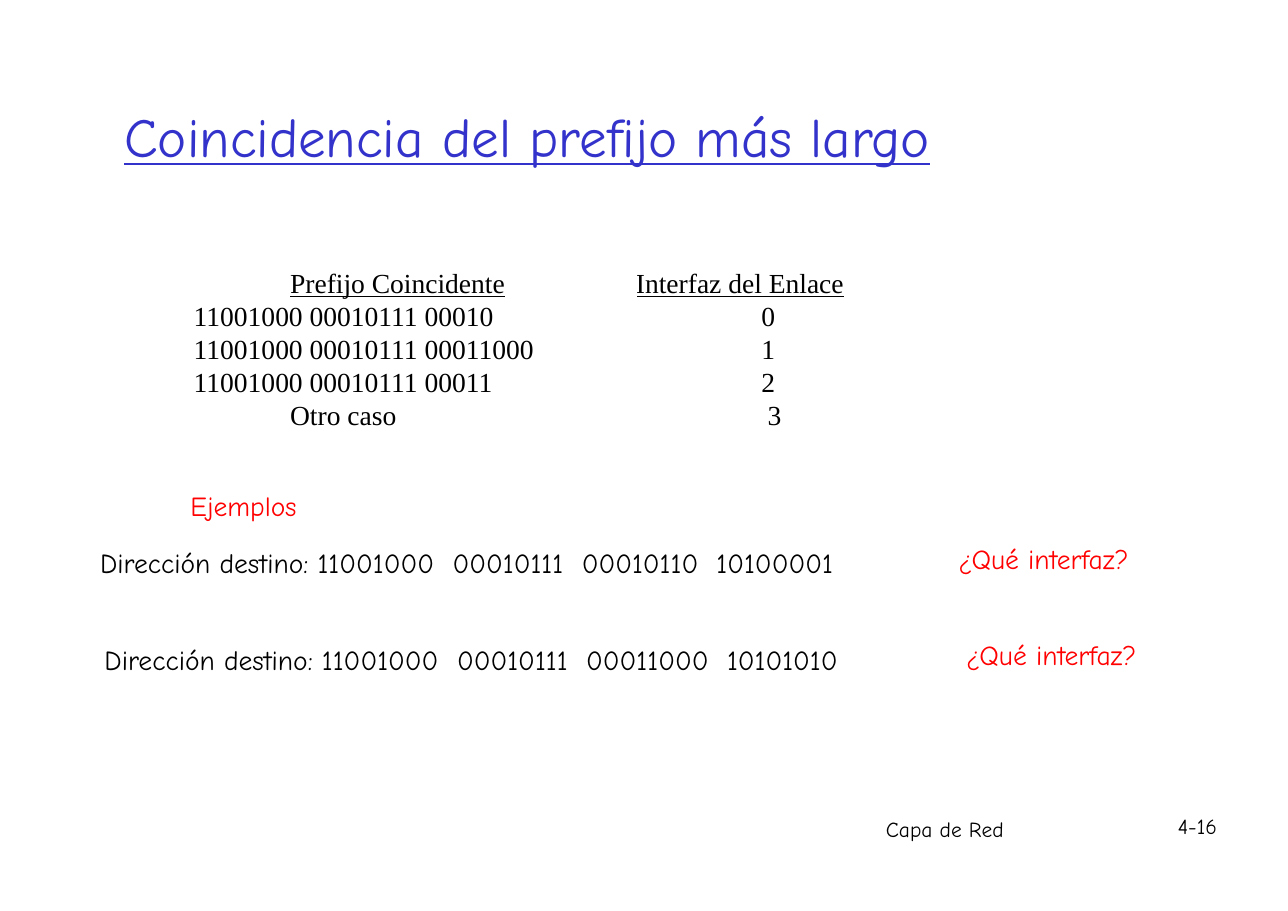
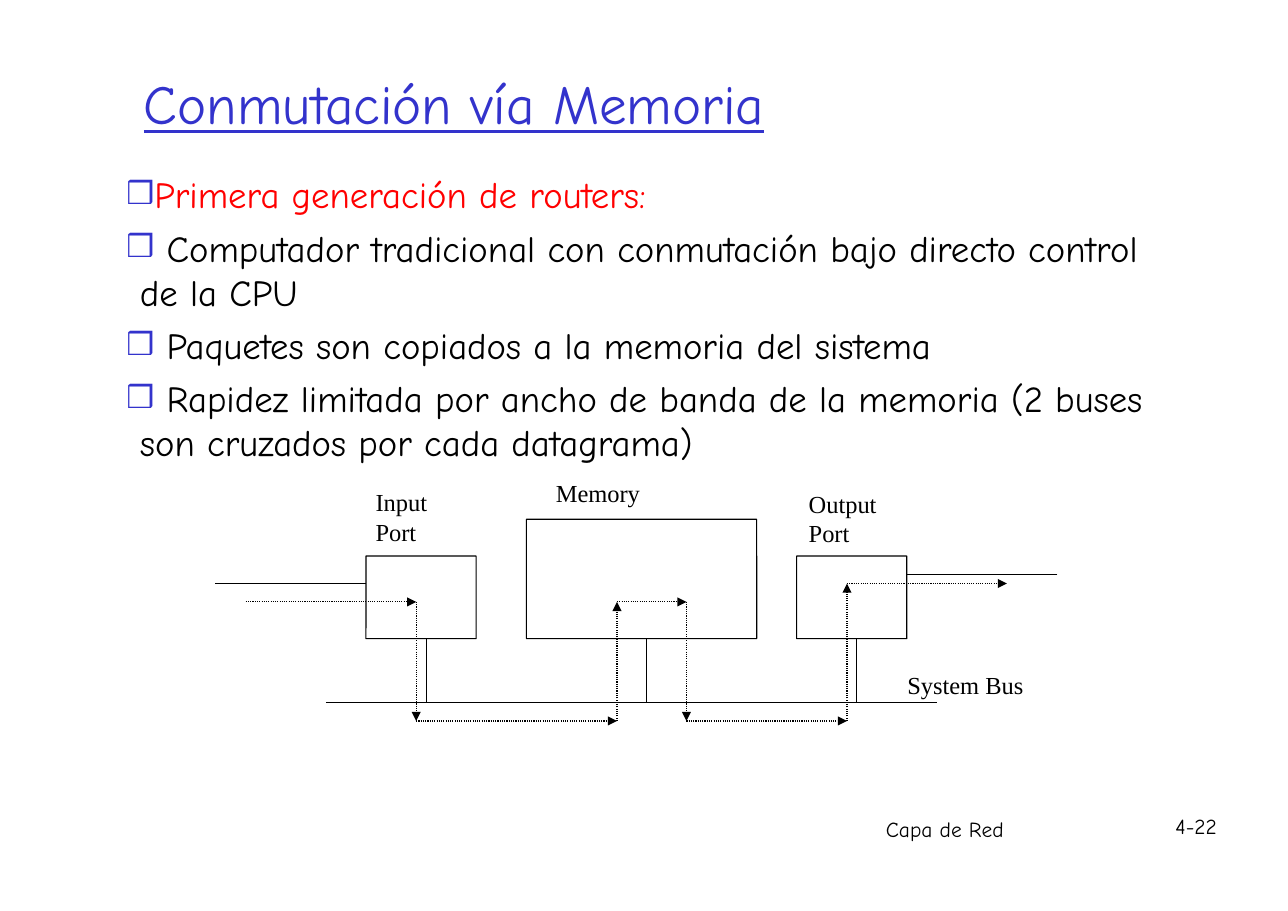
from itertools import pairwise
from lxml.etree import SubElement
from pptx import Presentation
from pptx.dml.color import RGBColor
from pptx.enum.dml import MSO_LINE
from pptx.enum.shapes import MSO_CONNECTOR as Link, MSO_SHAPE as Preset
from pptx.enum.text import MSO_ANCHOR as Anchor, PP_ALIGN as Align
from pptx.oxml.ns import qn
from pptx.util import Pt

HAND, SERIF = "Comic Neue", "Times New Roman"
BLACK, BLUE, RED = "000000", "3333CC", "FF0000"

TITLE = {"font": HAND, "size": 36, "color": BLUE, "underline": True,
         "spacing": 0.9, "anchor": Anchor.MIDDLE}
FOOTER = {"font": HAND, "size": 14, "align": Align.RIGHT, "spacing": 0.9}
EXAMPLE = {"font": HAND, "size": 18, "spacing": 0.9}
QUESTION = EXAMPLE | {"color": RED}
LABEL = {"font": SERIF, "size": 16}
BULLET = {"font": HAND, "size": 24, "before": 6}
LEAD = BULLET | {"color": RED, "spacing": 0.9}
ENTRY = {"font": SERIF, "size": 18}
HEADING = ENTRY | {"underline": True}

FOOTER_TEXT = "Capa de Red"

PREFIX_TITLE = "Coincidencia del prefijo más largo"
PREFIX_ROWS = [
    (("Prefijo Coincidente", 63), ("Interfaz del Enlace", 0)),
    (("11001000 00010111 00010", 0), ("0", 82)),
    (("11001000 00010111 00011000", 0), ("1", 82)),
    (("11001000 00010111 00011", 0), ("2", 82)),
    (("Otro caso", 63), ("3", 86)),
]
PREFIX_COLUMNS = (289, 150)
PREFIX_ROW_HEIGHT = 21.6
EXAMPLES_HEADING = "Ejemplos"
ADDRESS_LABEL = "Dirección destino: "
ADDRESSES = [
    (("11001000", "00010111", "00010110", "10100001"), (230.4, 314.8, 402.8),
     (58.3, 355.7), (619.2, 352.8)),
    (("11001000", "00010111", "00011000", "10101010"), (230.4, 314.8, 406.8),
     (61.2, 419), (624.3, 415.8)),
]
INTERFACE_QUESTION = "¿Qué interfaz?"

MEMORY_TITLE = "Conmutación vía Memoria"
MEMORY_POINTS = [
    ("Primera generación de routers:", LEAD),
    (" Computador tradicional con conmutación bajo directo control de la CPU", BULLET),
    (" Paquetes son copiados a la memoria del sistema", BULLET),
    (" Rapidez limitada por ancho de banda de la memoria (2 buses son cruzados por cada datagrama)", BULLET),
]
UNITS = [(239.2, 363.4, 72, 54), (520.6, 363.4, 72, 54), (344, 339.4, 150.5, 78)]
UNIT_BOTTOM, BUS_Y = 417.4, 459.4
BUS = ((213, BUS_Y), (612.5, BUS_Y))
STEMS = (278.6, 422.6, 560)
WIRES = [((239.2, 381.4), (140.4, 381.4)), ((691, 375.4), (592.6, 375.4))]
INNER_Y, UNDER_BUS_Y, EXIT_Y = 393.4, 471.2, 381.4
DATAGRAM_ROUTE = [
    (160.6, INNER_Y), (272, INNER_Y), (272, UNDER_BUS_Y), (403.2, UNDER_BUS_Y),
    (403.2, INNER_Y), (448.6, INNER_Y), (448.6, UNDER_BUS_Y), (553.5, UNDER_BUS_Y),
    (553.5, EXIT_Y), (658, EXIT_Y),
]
UNIT_LABELS = [
    (("Input", "Port"), (238.3, 314.9, 51, 43)),
    (("Output", "Port"), (521.4, 316, 62.6, 43)),
    (("Memory",), (356.2, 308.9, 74, 25)),
    (("System Bus",), (585.9, 434.5, 96.5, 25)),
]


def rgb(color):
    return RGBColor.from_string(color)


def assign(target, values):
    for name, value in values.items():
        setattr(target, name, value)


def style(paragraph, text, look):
    run = paragraph.add_run()
    run.text = text
    assign(paragraph, {
        "alignment": look.get("align", Align.LEFT),
        "line_spacing": look.get("spacing", 1.0),
        "space_before": Pt(look.get("before", 0)),
    })
    assign(run.font, {
        "name": look["font"],
        "size": Pt(look["size"]),
        "underline": look.get("underline", False),
    })
    run.font.color.rgb = rgb(look.get("color", BLACK))


def fill_text(frame, entries):
    assign(frame, {"word_wrap": True,
                   "vertical_anchor": entries[0][1].get("anchor", Anchor.TOP)})
    for index, (text, look) in enumerate(entries):
        paragraph = frame.add_paragraph() if index else frame.paragraphs[0]
        style(paragraph, text, look)
    return frame.paragraphs


def write(slide, entries, area):
    return fill_text(slide.shapes.add_textbox(*map(Pt, area)).text_frame, entries)


def add_panel(slide, area):
    panel = slide.shapes.add_shape(Preset.ROUNDED_RECTANGLE, *map(Pt, area))
    panel.adjustments[0] = 0.003
    panel.shadow.inherit = False
    panel.fill.background()
    panel.line.fill.background()
    return panel


def write_panel(slide, entries, area):
    return fill_text(add_panel(slide, area).text_frame, entries)


def add_bullet(paragraph):
    properties = paragraph._p.get_or_add_pPr()
    for name, value in {"marL": Pt(8.8), "indent": Pt(-8.8)}.items():
        properties.set(name, str(value))
    tint = SubElement(properties, qn("a:buClr"))
    SubElement(tint, qn("a:srgbClr"), val=BLUE)
    SubElement(properties, qn("a:buSzPct"), val="85000")
    SubElement(properties, qn("a:buFont"), typeface=HAND)
    SubElement(properties, qn("a:buChar"), char="❒")


def add_stops(paragraph, stops):
    tabs = SubElement(paragraph._p.get_or_add_pPr(), qn("a:tabLst"))
    for stop in stops:
        SubElement(tabs, qn("a:tab"), pos=str(Pt(stop)), algn="l")


def connect(slide, start, end, arrow=False):
    link = slide.shapes.add_connector(Link.STRAIGHT, *map(Pt, start + end))
    link.line.color.rgb = rgb(BLACK)
    link.line.width = Pt(0.75)
    if arrow:
        link.line.dash_style = MSO_LINE.ROUND_DOT
        SubElement(link.line._get_or_add_ln(), qn("a:tailEnd"), type="triangle")
    SubElement(link._element.spPr, qn("a:effectLst"))


def start_slide(deck, title, title_area, number):
    slide = deck.slides.add_slide(deck.slide_layouts[6])
    write(slide, [(FOOTER_TEXT, FOOTER)], (553, 531.4, 110, 21.6))
    write(slide, [(number, FOOTER)], (714.4, 529.9, 88, 21.6))
    write(slide, [(title, TITLE)], title_area)
    return slide


def add_prefix_table(slide):
    height = PREFIX_ROW_HEIGHT * len(PREFIX_ROWS)
    table = slide.shapes.add_table(
        len(PREFIX_ROWS), len(PREFIX_COLUMNS),
        Pt(126.6), Pt(174.7), Pt(sum(PREFIX_COLUMNS)), Pt(height)).table
    assign(table, {"first_row": False, "horz_banding": False})
    for column, width in zip(table.columns, PREFIX_COLUMNS):
        column.width = Pt(width)
    for index, (row, entries) in enumerate(zip(table.rows, PREFIX_ROWS)):
        row.height = Pt(PREFIX_ROW_HEIGHT)
        for cell, (text, indent) in zip(row.cells, entries):
            cell.fill.background()
            assign(cell, {"margin_left": Pt(indent), "margin_right": 0,
                          "margin_top": 0, "margin_bottom": 0,
                          "vertical_anchor": Anchor.MIDDLE})
            style(cell.text_frame.paragraphs[0], text, ENTRY if index else HEADING)


def build_prefix_slide(deck):
    slide = start_slide(deck, PREFIX_TITLE, (74.1, 46, 668, 90), "4-16")
    add_prefix_table(slide)
    write_panel(slide, [(EXAMPLES_HEADING, QUESTION)], (117.4, 318.2, 103, 26))
    for octets, stops, address_at, question_at in ADDRESSES:
        address = ADDRESS_LABEL + "\t".join(octets)
        lines = write_panel(slide, [(address, EXAMPLE)], (*address_at, 633, 26))
        add_stops(lines[0], stops)
        write_panel(slide, [(INTERFACE_QUESTION, QUESTION)], (*question_at, 155, 26))


def build_memory_slide(deck):
    slide = start_slide(deck, MEMORY_TITLE, (87, 45.9, 668, 48.2), "4-22")
    for paragraph in write(slide, MEMORY_POINTS, (75.6, 112, 686.2, 224)):
        add_bullet(paragraph)
    for area in UNITS:
        unit = add_panel(slide, area)
        unit.line.color.rgb = rgb(BLACK)
        unit.line.width = Pt(0.75)
    stems = [((x, UNIT_BOTTOM), (x, BUS_Y)) for x in STEMS]
    for start, end in [BUS, *stems, *WIRES]:
        connect(slide, start, end)
    for start, end in pairwise(DATAGRAM_ROUTE):
        connect(slide, start, end, arrow=True)
    for words, area in UNIT_LABELS:
        write_panel(slide, [(word, LABEL) for word in words], area)


def main():
    deck = Presentation()
    assign(deck, {"slide_width": Pt(841.7), "slide_height": Pt(595.4)})
    build_prefix_slide(deck)
    build_memory_slide(deck)
    deck.save("out.pptx")


if __name__ == "__main__":
    main()
